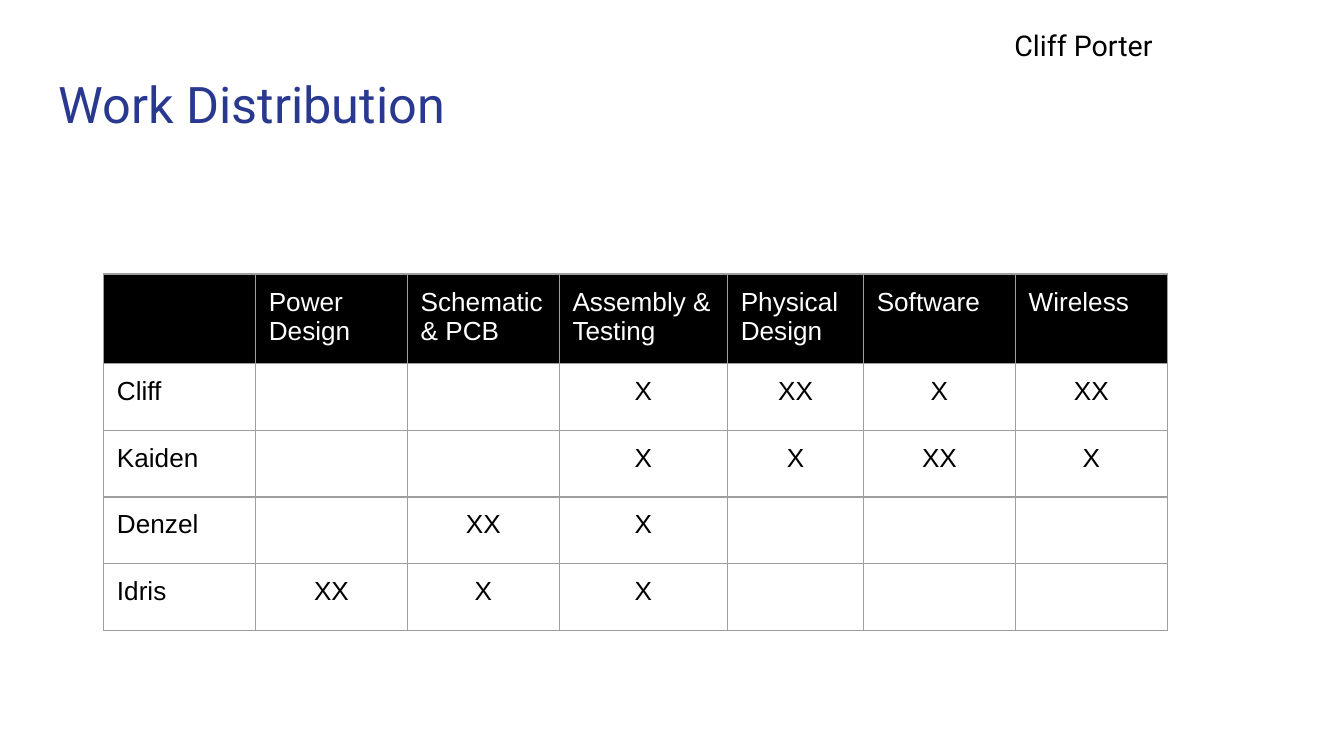
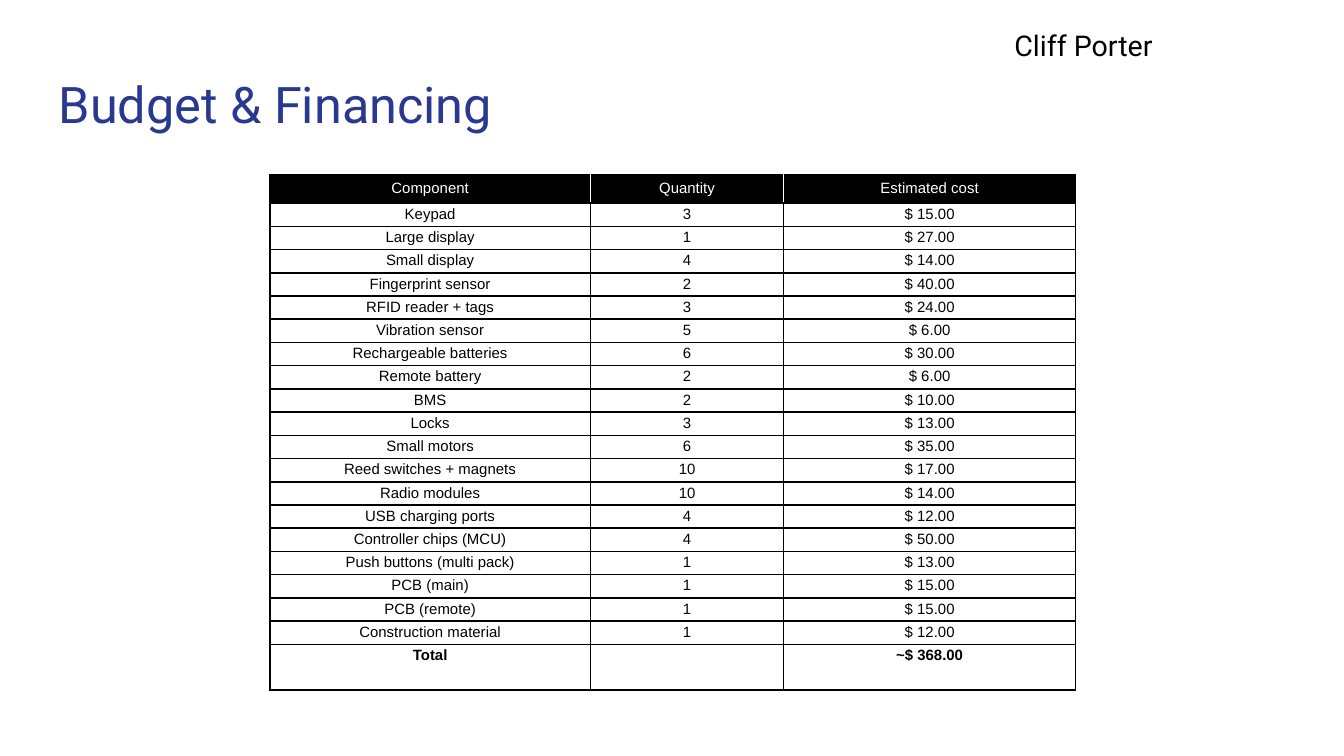
"""Build the work distribution and budget slides."""
import dataclasses

import pptx
import pptx.dml.color
import pptx.enum.text
import pptx.oxml
import pptx.oxml.ns
import pptx.util
from pptx.util import Cm, Pt

ALIGN = pptx.enum.text.PP_ALIGN


@dataclasses.dataclass(frozen=True)
class Theme:
    """Colours, fonts and type sizes of the deck."""
    title: str = "2A3990"
    ink: str = "000000"
    paper: str = "FFFFFF"
    rule: str = "9E9E9E"
    heading_font: str = "Roboto"
    table_font: str = "Arial"
    title_size: float = 27
    speaker_size: float = 15.3
    work_size: float = 14
    budget_size: float = 8


@dataclasses.dataclass(frozen=True)
class TableStyle:
    """Format of one table; insets are horizontal and vertical, in cm."""
    size: float
    line: str
    header_line: str
    line_width: float
    header_inset: tuple
    body_inset: tuple
    heights: tuple
    header_align: int
    label_align: int


THEME = Theme()
WORK_STYLE = TableStyle(
    THEME.work_size, THEME.rule, THEME.rule, 0.75, (0.25, 0.25), (0.25, 0.25),
    (1.63, 1.22, 1.22), ALIGN.LEFT, ALIGN.LEFT)
BUDGET_STYLE = TableStyle(
    THEME.budget_size, THEME.ink, THEME.paper, 1, (0.1, 0.1), (0.1, 0.05),
    (0.53, 0.42, 0.81), ALIGN.CENTER, ALIGN.CENTER)

SPEAKER = "Cliff Porter"
TITLE_BOX = (0.86, 1.14, 23.67, 1.68)
SPEAKER_BOX = (18.92, 0.28, 6.48, 1.78)

WORK_COLUMNS = (2.87, 2.87, 2.87, 3.18, 2.57, 2.87, 2.87)
WORK = [
    ("", "Power Design", "Schematic & PCB", "Assembly & Testing",
     "Physical Design", "Software", "Wireless"),
    ("Cliff", "", "", "X", "XX", "X", "XX"),
    ("Kaiden", "", "", "X", "X", "XX", "X"),
    ("Denzel", "", "XX", "X", "", "", ""),
    ("Idris", "XX", "X", "X", "", "", ""),
]

BUDGET_COLUMNS = (6.06, 3.65, 5.52)
PARTS = [
    ("Keypad", 3, 15), ("Large display", 1, 27), ("Small display", 4, 14),
    ("Fingerprint sensor", 2, 40), ("RFID reader + tags", 3, 24),
    ("Vibration sensor", 5, 6), ("Rechargeable batteries", 6, 30),
    ("Remote battery", 2, 6), ("BMS", 2, 10), ("Locks", 3, 13),
    ("Small motors", 6, 35), ("Reed switches + magnets", 10, 17),
    ("Radio modules", 10, 14), ("USB charging ports", 4, 12),
    ("Controller chips (MCU)", 4, 50), ("Push buttons (multi pack)", 1, 13),
    ("PCB (main)", 1, 15), ("PCB (remote)", 1, 15),
    ("Construction material", 1, 12),
]
TOTAL = sum(cost for _, _, cost in PARTS)
BUDGET = [
    ("Component", "Quantity", "Estimated cost"),
    *((part, str(count), f"$ {cost:.2f}") for part, count, cost in PARTS),
    ("Total", "", f"~$ {TOTAL:.2f}"),
]


def apply(target, formats):
    """Set each format value as an attribute of the target."""
    for name, value in formats.items():
        setattr(target, name, value)


def insets(horizontal, vertical):
    """Return the margin attributes of a text frame or cell."""
    return {"margin_left": Cm(horizontal), "margin_right": Cm(horizontal),
            "margin_top": Cm(vertical), "margin_bottom": Cm(vertical)}


def write(p, text, size, font, color, bold=False):
    """Add one formatted run to a paragraph."""
    r = p.add_run()
    r.text = text
    apply(r.font, {"size": Pt(size), "name": font, "bold": bold})
    r.font.color.rgb = pptx.dml.color.RGBColor.from_string(color)


def add_text(s, box, text, size, color, autosize):
    """Place a wrapped heading text in a box."""
    tf = s.shapes.add_textbox(*map(Cm, box)).text_frame
    apply(tf, {"word_wrap": True, "auto_size": autosize, **insets(0.25, 0.25)})
    write(tf.paragraphs[0], text, size, THEME.heading_font, color)


def add_heading(s, title):
    """Place the slide title and the speaker's name."""
    sizing = pptx.enum.text.MSO_AUTO_SIZE
    add_text(s, TITLE_BOX, title, THEME.title_size, THEME.title, sizing.NONE)
    add_text(s, SPEAKER_BOX, SPEAKER, THEME.speaker_size, THEME.ink,
             sizing.SHAPE_TO_FIT_TEXT)


def set_borders(cell, width, colors):
    """Draw the four sides of a cell, given as side letter to colour."""
    tc_pr = cell._tc.get_or_add_tcPr()
    for side, color in colors.items():
        tc_pr.append(pptx.oxml.parse_xml(
            f'<a:ln{side} {pptx.oxml.ns.nsdecls("a")} w="{Pt(width)}">'
            f'<a:solidFill><a:srgbClr val="{color}"/></a:solidFill>'
            f'</a:ln{side}>'))


def format_cell(cell, text, style, header, first, last, bold):
    """Fill one cell with its text, borders and background."""
    inset = style.header_inset if header else style.body_inset
    inner = style.header_line if header else style.line
    apply(cell, insets(*inset))
    set_borders(cell, style.line_width, {
        "L": style.line if first else inner,
        "R": style.line if last else inner,
        "T": style.line, "B": style.line})
    if header:
        cell.fill.solid()
        cell.fill.fore_color.rgb = pptx.dml.color.RGBColor.from_string(THEME.ink)
    else:
        cell.fill.background()
    if text:
        p = cell.text_frame.paragraphs[0]
        p.alignment = (style.header_align if header else
                       style.label_align if first else ALIGN.CENTER)
        write(p, text, style.size, THEME.table_font,
              THEME.paper if header else THEME.ink, bold)


def add_grid(s, left, top, columns, rows, style, total=False):
    """Place a table whose top left corner is given in cm."""
    head, body, foot = style.heights
    heights = [head, *[body] * (len(rows) - 2), foot]
    table = s.shapes.add_table(
        len(rows), len(columns), Cm(left), Cm(top),
        Cm(sum(columns)), Cm(sum(heights))).table
    apply(table, {"first_row": False, "horz_banding": False})
    for column, width in zip(table.columns, columns):
        column.width = Cm(width)
    for i, (row, height) in enumerate(zip(table.rows, heights)):
        row.height = Cm(height)
        for j, text in enumerate(rows[i]):
            format_cell(row.cells[j], text, style, i == 0, j == 0,
                        j == len(columns) - 1, total and i == len(rows) - 1)


def add_slide(prs, title):
    """Add a blank slide with the shared heading."""
    s = prs.slides.add_slide(prs.slide_layouts[6])
    add_heading(s, title)
    return s


def main():
    """Build and save the deck."""
    prs = pptx.Presentation()
    apply(prs, {"slide_width": Cm(25.4), "slide_height": Cm(14.29)})
    s = add_slide(prs, "Work Distribution")
    add_grid(s, 1.96, 5.18, WORK_COLUMNS, WORK, WORK_STYLE)
    s = add_slide(prs, "Budget & Financing")
    add_grid(s, 5.1, 3.3, BUDGET_COLUMNS, BUDGET, BUDGET_STYLE, total=True)
    prs.save("out.pptx")


if __name__ == "__main__":
    main()
